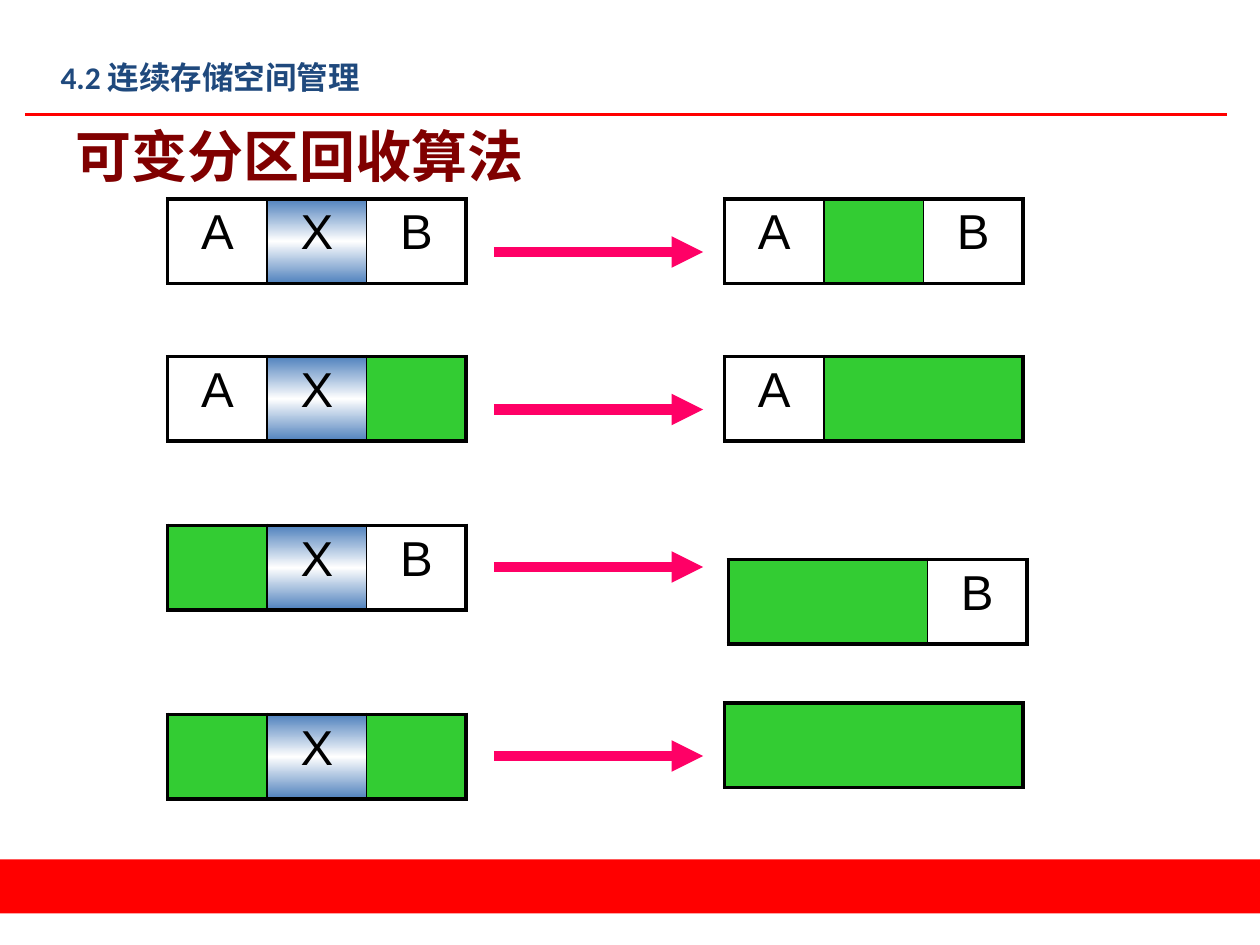
"""Build the slide on reclaiming variable partitions."""
from pptx import Presentation
from pptx.dml.color import RGBColor
from pptx.enum.shapes import MSO_CONNECTOR, MSO_SHAPE
from pptx.enum.text import MSO_ANCHOR, PP_ALIGN
from pptx.oxml import parse_xml
from pptx.oxml.ns import nsdecls
from pptx.oxml.xmlchemy import OxmlElement
from pptx.util import Inches, Pt

BLACK = RGBColor(0, 0, 0)
WHITE = RGBColor(255, 255, 255)
RED = RGBColor(255, 0, 0)
PINK = RGBColor(0xFF, 0x00, 0x66)
GREEN = RGBColor(0x33, 0xCC, 0x33)
BLUE = RGBColor(0x4F, 0x81, 0xBD)
NAVY = RGBColor(0x1F, 0x49, 0x7D)
MAROON = RGBColor(0x80, 0, 0)

SECTION = "4.2 连续存储空间管理"
TITLE = "可变分区回收算法"
FREE = ""
RELEASED = "X"
UNIT = 0.79
BLOCK_HEIGHT = 0.67
BEFORE_LEFT = 1.33
ARROW_START, ARROW_END = 3.92, 5.58
CASES = [
    {"before": (1.58, ["A", "X", "B"]), "arrow": 2.0,
     "after": (5.75, 1.58, [("A", 1), (FREE, 1), ("B", 1)])},
    {"before": (2.83, ["A", "X", FREE]), "arrow": 3.25,
     "after": (5.75, 2.83, [("A", 1), (FREE, 2)])},
    {"before": (4.17, [FREE, "X", "B"]), "arrow": 4.5,
     "after": (5.78, 4.44, [(FREE, 2), ("B", 1)])},
    {"before": (5.67, [FREE, "X", FREE]), "arrow": 6.0,
     "after": (5.75, 5.58, [(FREE, 3)])},
]


def style_text(para, size, font, color, bold=False):
    for span in para.runs:
        span.font.size = Pt(size)
        span.font.name = font
        span.font.color.rgb = color
        span.font.bold = bold


def set_borders(cell, is_first, is_last):
    properties = cell._tc.get_or_add_tcPr()
    widths = {"L": 2.25 if is_first else 1, "R": 2.25 if is_last else 1, "T": 2.25, "B": 2.25}
    for side, width in widths.items():
        properties.append(parse_xml(
            f'<a:ln{side} {nsdecls("a")} w="{Pt(width)}"><a:solidFill>'
            f'<a:srgbClr val="{BLACK}"/></a:solidFill></a:ln{side}>'))


def fill_cell(cell, label):
    if label == FREE:
        cell.fill.solid()
        cell.fill.fore_color.rgb = GREEN
    elif label == RELEASED:
        stops = "".join(
            f'<a:gs pos="{position}"><a:srgbClr val="{color}"/></a:gs>'
            for position, color in ((0, BLUE), (50000, WHITE), (100000, BLUE)))
        cell._tc.get_or_add_tcPr().append(parse_xml(
            f'<a:gradFill {nsdecls("a")}><a:gsLst>{stops}</a:gsLst>'
            '<a:lin ang="5400000" scaled="0"/></a:gradFill>'))
    else:
        cell.fill.background()


def add_memory(page, left, top, parts):
    total = UNIT * sum(units for label, units in parts)
    frame = page.shapes.add_table(1, len(parts), Inches(left), Inches(top),
                                  Inches(total), Inches(BLOCK_HEIGHT))
    table = frame.table
    table.first_row = False
    table.horz_banding = False
    for index, (label, units) in enumerate(parts):
        table.columns[index].width = Inches(UNIT * units)
        cell = table.cell(0, index)
        set_borders(cell, index == 0, index == len(parts) - 1)
        fill_cell(cell, label)
        if label != FREE:
            cell.text_frame.text = label
            para = cell.text_frame.paragraphs[0]
            para.alignment = PP_ALIGN.CENTER
            style_text(para, 28, "Arial", BLACK)


def add_line(page, left, right, height, color, width, has_arrow=False):
    line = page.shapes.add_connector(MSO_CONNECTOR.STRAIGHT, Inches(left), Inches(height),
                                     Inches(right), Inches(height))
    line.line.color.rgb = color
    line.line.width = Pt(width)
    if has_arrow:
        head = OxmlElement("a:tailEnd")
        head.set("type", "triangle")
        line.line._get_or_add_ln().append(head)
    line._element.spPr.append(OxmlElement("a:effectLst"))


def add_bar(page, left, top, width, height, color):
    bar = page.shapes.add_shape(MSO_SHAPE.RECTANGLE, Inches(left), Inches(top),
                                Inches(width), Inches(height))
    bar.shadow.inherit = False
    bar.fill.solid()
    bar.fill.fore_color.rgb = color
    bar.line.fill.background()
    return bar


def add_title(page):
    box = page.shapes.add_textbox(Inches(0.5), Inches(0.3), Inches(9), Inches(1.25))
    text = box.text_frame
    text.word_wrap = True
    text.vertical_anchor = MSO_ANCHOR.BOTTOM
    text.text = TITLE
    style_text(text.paragraphs[0], 32, "Calibri", MAROON, True)


def add_section(page):
    text = add_bar(page, 0.39, 0.44, 5.78, 0.34, WHITE).text_frame
    text.word_wrap = True
    text.vertical_anchor = MSO_ANCHOR.MIDDLE
    text.margin_left = text.margin_right = Inches(0.09)
    text.margin_top = text.margin_bottom = Inches(0.04)
    text.text = SECTION
    text.paragraphs[0].alignment = PP_ALIGN.LEFT
    style_text(text.paragraphs[0], 18, "Calibri", NAVY, True)


def main():
    deck = Presentation()
    deck.slide_width, deck.slide_height = Inches(10), Inches(7.5)
    page = deck.slides.add_slide(deck.slide_layouts[6])
    add_title(page)
    for case in CASES:
        top, labels = case["before"]
        add_memory(page, BEFORE_LEFT, top, [(label, 1) for label in labels])
        add_memory(page, *case["after"])
        add_line(page, ARROW_START, ARROW_END, case["arrow"], PINK, 6, has_arrow=True)
    add_bar(page, 0, 6.82, 10, 0.43, RED)
    add_line(page, 0.2, 9.74, 0.91, RED, 1.5)
    add_section(page)
    deck.save("out.pptx")


if __name__ == "__main__":
    main()
